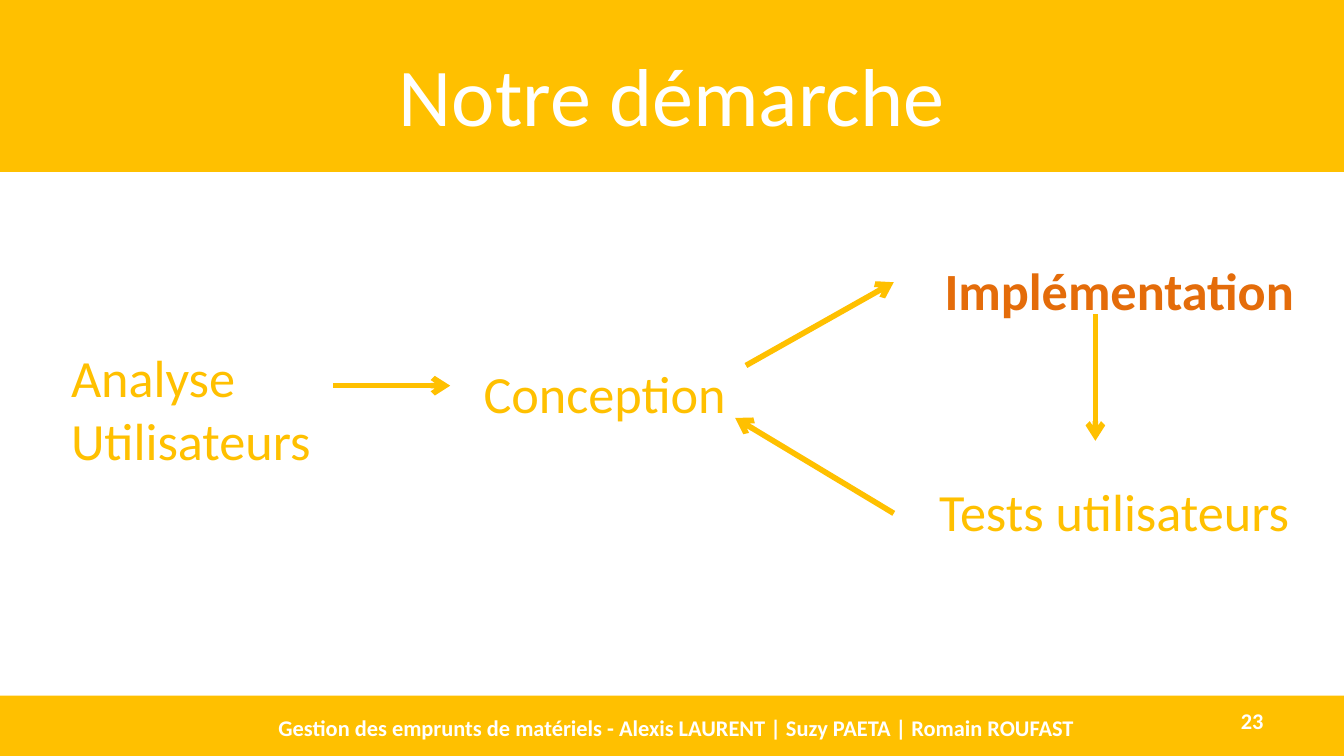
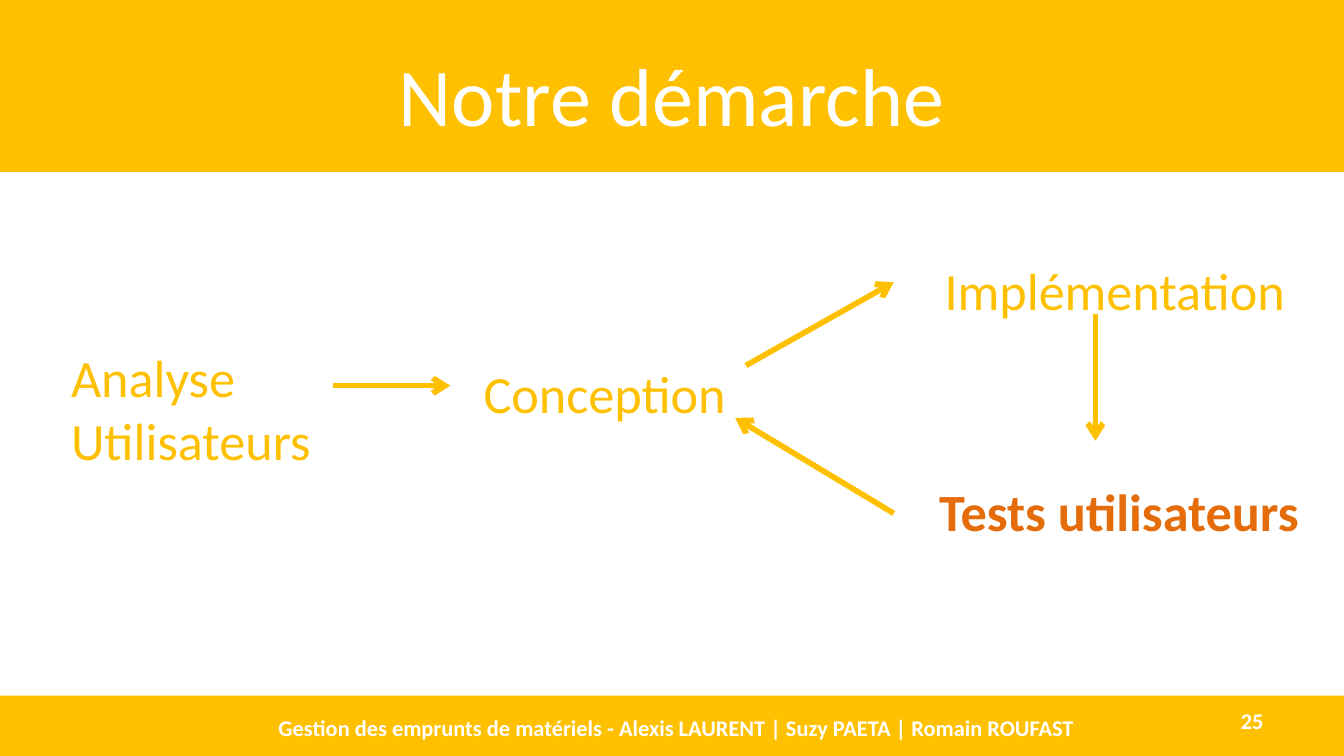
from lxml import etree
from pptx import Presentation
from pptx.dml.color import RGBColor
from pptx.enum.shapes import MSO_CONNECTOR, MSO_SHAPE
from pptx.enum.text import MSO_ANCHOR, MSO_AUTO_SIZE, PP_ALIGN
from pptx.oxml.ns import qn
from pptx.util import Inches, Pt

STRAIGHT = MSO_CONNECTOR.STRAIGHT
RECTANGLE = MSO_SHAPE.RECTANGLE
TOP, MIDDLE = MSO_ANCHOR.TOP, MSO_ANCHOR.MIDDLE
LEFT, CENTER, RIGHT = PP_ALIGN.LEFT, PP_ALIGN.CENTER, PP_ALIGN.RIGHT
GROW = MSO_AUTO_SIZE.SHAPE_TO_FIT_TEXT

TITLE = "Notre démarche"
FOOTER = "Gestion des emprunts de matériels - Alexis LAURENT | Suzy PAETA | Romain ROUFAST"
# Slide number and the step highlighted on that slide
SLIDES = [("23", "Implémentation"), ("25", "Tests utilisateurs")]

# Lengths in inches
WIDTH = 10
HEIGHT = WIDTH * 9 / 16
HEADER_H, FOOTER_H = 1.28, 0.45
FOOTER_TOP = HEIGHT - FOOTER_H
STEPS = {
    "Analyse Utilisateurs": (0.43, 2.52, 2.28, 1.04),
    "Conception": (3.5, 2.64, 2.28, 0.57),
    "Implémentation": (6.93, 1.87, 3.07, 0.57),
    "Tests utilisateurs": (6.89, 3.52, 3.07, 0.57),
}
ARROWS = [
    ((2.48, 2.87), (3.35, 2.87)),  # analysis to design
    ((5.55, 2.72), (6.65, 2.1)),   # design to implementation
    ((8.15, 2.34), (8.15, 3.28)),  # implementation to tests
    ((6.65, 3.82), (5.47, 3.11)),  # tests back to design
]

FONT = "Calibri"
COLORS = {"main": "FFC000", "accent": "E46C0A", "light": "FFFFFF"}


def rgb(name):
    return RGBColor.from_string(COLORS[name])


def inches(values):
    return [Inches(v) for v in values]


def write(sp, text, size, color, bold=False, align=LEFT, anchor=TOP):
    tf = sp.text_frame
    tf.word_wrap = True
    tf.vertical_anchor = anchor
    tf.text = text
    p = tf.paragraphs[0]
    p.alignment = align
    p.font.name, p.font.size, p.font.bold = FONT, Pt(size), bold
    p.font.color.rgb = rgb(color)


def add_text(slide, box, *args, **style):
    sp = slide.shapes.add_textbox(*inches(box))
    write(sp, *args, **style)
    return sp


def add_band(slide, top, height):
    """Add a full-width band behind the title."""
    sp = slide.shapes.add_shape(RECTANGLE, *inches((0, top, WIDTH, height)))
    sp.shadow.inherit = False
    sp.fill.solid()
    sp.fill.fore_color.rgb = rgb("main")
    sp.line.fill.background()
    slide.shapes.title.element.addprevious(sp.element)


def add_arrow(slide, start, end):
    arrow = slide.shapes.add_connector(STRAIGHT, *inches(start + end))
    arrow.line.color.rgb = rgb("main")
    arrow.line.width = Pt(3)
    props = arrow.element.spPr
    etree.SubElement(props.find(qn("a:ln")), qn("a:tailEnd"), type="arrow")
    etree.SubElement(props, qn("a:effectLst"))


def add_frame(slide, number):
    """Add the bands, title, slide number and footer."""
    add_band(slide, FOOTER_TOP, FOOTER_H)
    add_band(slide, 0, HEADER_H)
    title = slide.shapes.title
    title.left, title.top, title.width, title.height = inches((0.5, 0.23, 9, 0.94))
    write(title, TITLE, 44, "light", align=CENTER, anchor=MIDDLE)
    for box, text, align in [
        ((7.17, 5.21, 2.33, 0.3), number, RIGHT),
        ((1.61, 5.21, 6.85, 0.41), FOOTER, CENTER),
    ]:
        add_text(slide, box, text, 12, "light", bold=True, align=align, anchor=MIDDLE)


def add_process(slide, current):
    """Add the steps, with the current one highlighted, and their arrows."""
    for step, box in STEPS.items():
        active = step == current
        sp = add_text(slide, box, step, 28, "accent" if active else "main", bold=active)
        sp.text_frame.auto_size = GROW
    for start, end in ARROWS:
        add_arrow(slide, start, end)


def main():
    prs = Presentation()
    prs.slide_width, prs.slide_height = inches((WIDTH, HEIGHT))
    title_only = prs.slide_layouts[5]
    for number, current in SLIDES:
        slide = prs.slides.add_slide(title_only)
        add_frame(slide, number)
        add_process(slide, current)
    prs.save("out.pptx")


if __name__ == "__main__":
    main()
